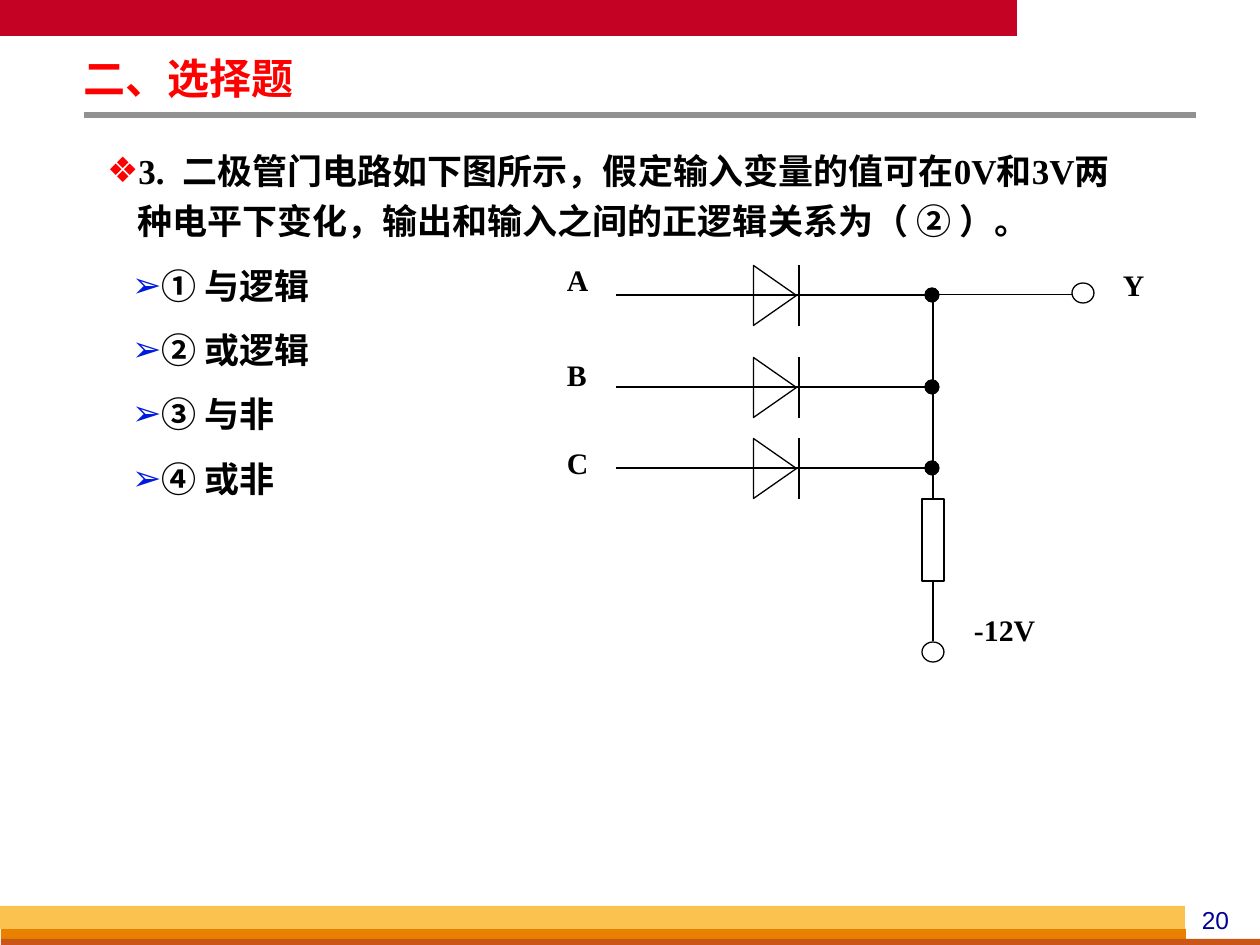
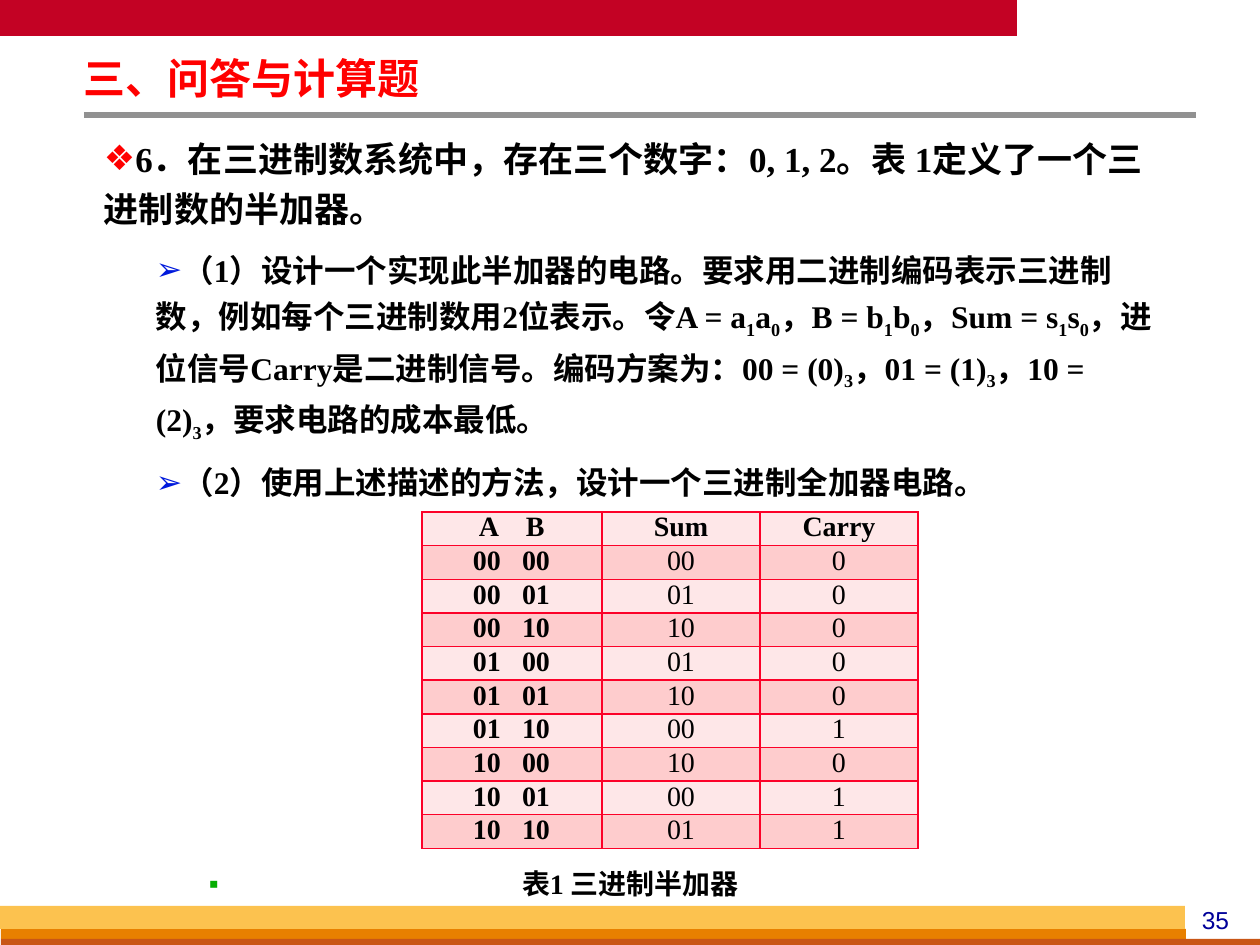
from lxml import etree
from pptx import Presentation, util as u
from pptx.dml.color import RGBColor
from pptx.enum import shapes, text
from pptx.oxml.ns import qn

PX = u.Inches(1) / 126
SERIF = "Times New Roman"
SANS = "Arial"
COLORS = {
    "red": "C30224", "title": "FF0000", "rule": "919191", "orange": "E88000",
    "rust": "C95616", "yellow": "FCC24F", "number": "000099", "ink": "000000",
    "white": "FFFFFF", "diamond": "FF0000", "arrow": "001ADC", "square": "05AD01",
    "border": "FC0128", "light": "FEE7E8", "dark": "FECCCD",
}
BANDS = [
    ("red", 0, 0, 1017, 36),
    ("orange", 1, 929, 1185, 10),
    ("rust", 1, 939, 1259, 6),
    ("yellow", 0, 906, 1185, 23),
]
OPTIONS = ["① 与逻辑", "② 或逻辑", "③ 与非", "④ 或非"]
HEADER = ("A\tB", "Sum", "Carry")
HALF_ADDER = [
    ("00\t00", "00", "0"), ("00\t01", "01", "0"), ("00\t10", "10", "0"),
    ("01\t00", "01", "0"), ("01\t01", "10", "0"), ("01\t10", "00", "1"),
    ("10\t00", "10", "0"), ("10\t01", "00", "1"), ("10\t10", "01", "1"),
]


def px(length):
    return u.Emu(round(length * PX))


def color(name):
    return RGBColor.from_string(COLORS[name])


def style(span, size, ink="ink", bold=True, font=SERIF):
    span.font.size = u.Pt(size)
    span.font.name = font
    span.font.bold = bold
    span.font.color.rgb = color(ink)


def add_box(page, left, top, width, height, inset=(0, 0)):
    box = page.shapes.add_textbox(px(left), px(top), px(width), px(height))
    frame = box.text_frame
    frame.word_wrap = True
    frame.margin_left = frame.margin_right = px(inset[0])
    frame.margin_top = frame.margin_bottom = px(inset[1])
    return frame


def add_label(page, words, left, top, width, height, size=17, inset=(0, 0), **look):
    frame = add_box(page, left, top, width, height, inset)
    frame.text = words
    para = frame.paragraphs[0]
    style(para.runs[0], size, **look)
    return para


def add_shape(page, kind, left, top, width, height, fill=None, line=None):
    shape = page.shapes.add_shape(kind, px(left), px(top), px(width), px(height))
    shape.shadow.inherit = False
    if fill:
        shape.fill.solid()
        shape.fill.fore_color.rgb = color(fill)
    else:
        shape.fill.background()
    if line:
        shape.line.color.rgb = color(line)
        shape.line.width = u.Pt(0.75)
    else:
        shape.line.fill.background()
    return shape


def add_line(page, start, end, ink="ink", width=0.75):
    line = page.shapes.add_connector(
        shapes.MSO_CONNECTOR.STRAIGHT, *map(px, start + end))
    line.line.color.rgb = color(ink)
    line.line.width = u.Pt(width)
    etree.SubElement(line._element.spPr, qn("a:effectLst"))


def add_bullet(para, mark, ink, margin, indent):
    props = para._p.get_or_add_pPr()
    props.set("marL", str(px(margin)))
    props.set("indent", str(px(indent)))
    props.set("hangingPunct", "0")
    tint = etree.SubElement(props, qn("a:buClr"))
    etree.SubElement(tint, qn("a:srgbClr"), val=COLORS[ink])
    etree.SubElement(props, qn("a:buFont"), typeface=SANS)
    etree.SubElement(props, qn("a:buChar"), char=mark)


def add_item(frame, words, size, mark, ink, margin=0, indent=0):
    para = frame.paragraphs[0]
    if para.runs:
        para = frame.add_paragraph()
    para.line_spacing = 1.2
    para.space_before = para.space_after = u.Pt(size / 5)
    add_bullet(para, mark, ink, margin, indent)
    first, *rest = words.split("_")
    pieces = [(first, False)]
    for part in rest:
        pieces += [(part[0], True), (part[1:], False)]
    for piece, lowered in pieces:
        span = para.add_run()
        span.text = piece
        style(span, size)
        if lowered:
            span._r.get_or_add_rPr().set("baseline", "-25000")


def add_page(deck, title, number):
    page = deck.slides.add_slide(deck.slide_layouts[6])
    for fill, *place in BANDS:
        add_shape(page, shapes.MSO_SHAPE.RECTANGLE, *place, fill=fill)
    add_line(page, (84, 115), (1196, 115), "rule", 3)
    para = add_label(page, number, 1176, 899, 79, 42, 14, (13, 6),
                     ink="number", bold=False, font=SANS)
    para.alignment = text.PP_ALIGN.CENTER
    add_label(page, title, 75, 55, 725, 52, 24, (9, 4), ink="title").line_spacing = 0.87
    return page


def add_diode(page, name, wire, label_top):
    triangle = add_shape(page, shapes.MSO_SHAPE.ISOSCELES_TRIANGLE,
                         745, wire - 21, 60, 43, line="ink")
    triangle.rotation = 90
    add_line(page, (799, wire - 30), (799, wire + 31))
    add_line(page, (616, wire), (933, wire))
    add_label(page, name, 567, label_top, 27, 53)


def add_circle(page, x, y, width, height, fill=None):
    add_shape(page, shapes.MSO_SHAPE.OVAL, x - width / 2, y - height / 2,
              width, height, fill, "ink")


def add_circuit(page):
    bus = 933
    wires = {"A": (295, 262), "B": (387, 357), "C": (468, 445)}
    for name, (wire, label_top) in wires.items():
        add_diode(page, name, wire, label_top)
    add_line(page, (bus, 295), (bus, 641))
    add_line(page, (bus, 294), (1072, 294), width=0.5)
    add_shape(page, shapes.MSO_SHAPE.RECTANGLE, 922, 499, 22, 82, "white", "ink")
    for wire, _ in wires.values():
        add_circle(page, bus - 1, wire, 14, 14, "ink")
    for x, y in ((bus, 652), (1083, 293)):
        add_circle(page, x, y, 22, 20)
    add_label(page, "Y", 1123, 267, 27, 53)
    add_label(page, "-12V", 954, 602, 169, 89, inset=(20, 10))


def set_borders(cell):
    props = cell._tc.get_or_add_tcPr()
    for place, side in enumerate(("a:lnL", "a:lnR", "a:lnT", "a:lnB")):
        border = etree.Element(qn(side), w=str(u.Pt(1)))
        fill = etree.SubElement(border, qn("a:solidFill"))
        etree.SubElement(fill, qn("a:srgbClr"), val=COLORS["border"])
        props.insert(place, border)


def fill_cell(cell, words, fill, bold):
    cell.fill.solid()
    cell.fill.fore_color.rgb = color(fill)
    set_borders(cell)
    cell.margin_left = cell.margin_right = px(10)
    cell.margin_top = cell.margin_bottom = 0
    cell.text_frame.text = words
    para = cell.text_frame.paragraphs[0]
    para.alignment = text.PP_ALIGN.CENTER
    for span in para.runs:
        style(span, 16, bold=bold)


def align_pair(cell, inset, gap):
    cell.margin_left = px(inset)
    para = cell.text_frame.paragraphs[0]
    para.alignment = text.PP_ALIGN.LEFT
    stops = etree.SubElement(para._p.get_or_add_pPr(), qn("a:tabLst"))
    etree.SubElement(stops, qn("a:tab"), pos=str(px(gap)), algn="l")


def add_truth_table(page):
    rows = [HEADER] + HALF_ADDER
    table = page.shapes.add_table(
        len(rows), len(HEADER), px(422), px(512), px(496), px(336)).table
    for column, width in zip(table.columns, (180, 158, 158)):
        column.width = px(width)
    for r, row in enumerate(rows):
        for c, words in enumerate(row):
            fill_cell(table.cell(r, c), words, "dark" if r % 2 else "light",
                      r == 0 or c == 0)
        align_pair(table.cell(r, 0), *((51, 49) if r else (57, 47)))


def add_choice_page(deck):
    page = add_page(deck, "二、选择题", "20")
    add_circuit(page)
    frame = add_box(page, 94, 135, 1042, 454, (13, 6))
    add_item(frame, "3.  二极管门电路如下图所示，假定输入变量的值可在0V和3V两种电平下变化，"
             "输出和输入之间的正逻辑关系为（ ② ）。", 20, "❖", "diamond", 30, -30)
    for option in OPTIONS:
        add_item(frame, option, 20, "➢", "arrow", 53, -28)


def add_question_page(deck):
    page = add_page(deck, "三、问答与计算题", "35")
    frame = add_box(page, 95, 125, 1080, 385, (9, 4))
    add_item(frame, "6．在三进制数系统中，存在三个数字：0, 1, 2。表 1定义了一个三进制数的半加器。",
             20, "❖", "diamond")
    add_item(frame, "（1）设计一个实现此半加器的电路。要求用二进制编码表示三进制数，"
             "例如每个三进制数用2位表示。令A = a_1a_0，B = b_1b_0，Sum = s_1s_0，"
             "进位信号Carry是二进制信号。编码方案为：00 = (0)_3，01 = (1)_3，"
             "10 = (2)_3，要求电路的成本最低。", 18, "➢", "arrow", 52)
    add_item(frame, "（2）使用上述描述的方法，设计一个三进制全加器电路。", 18, "➢", "arrow", 52)
    add_truth_table(page)
    caption = add_box(page, 200, 856, 700, 52, (9, 4))
    add_item(caption, "表1 三进制半加器", 16, "▪", "square", 313, -313)


def main():
    deck = Presentation()
    deck.slide_width, deck.slide_height = px(1260), px(945)
    add_choice_page(deck)
    add_question_page(deck)
    deck.save("out.pptx")


if __name__ == "__main__":
    main()
